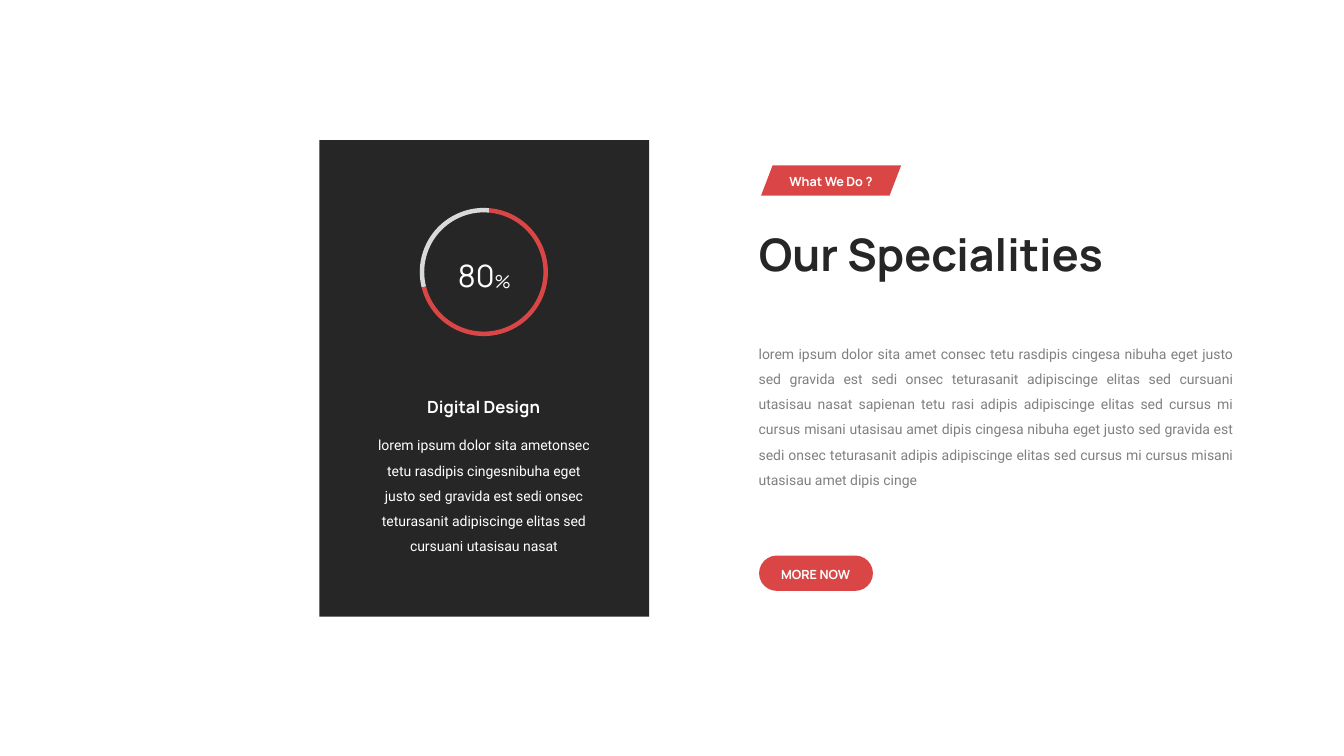
from pptx import Presentation
from pptx import util as u
from pptx.dml.color import RGBColor
from pptx.enum import shapes, text

RED, DARK, PALE, GREY, WHITE = "DA4646", "262626", "D9D9D9", "808080", "FFFFFF"
ALIGN = text.PP_ALIGN


def write(content, box, holder=None, font="Manrope", size=9, color=WHITE, bold=False,
          align=ALIGN.CENTER, spacing=None, wrap=True):
    place = [u.Cm(length) for length in box]
    if holder is None:
        holder = slide.shapes.add_textbox(*place)
    holder.left, holder.top, holder.width, holder.height = place
    frame = holder.text_frame
    frame.word_wrap = wrap
    frame.auto_size = text.MSO_AUTO_SIZE.SHAPE_TO_FIT_TEXT
    frame.vertical_anchor = text.MSO_ANCHOR.TOP
    paragraph = frame.paragraphs[0]
    paragraph.alignment = align
    if spacing:
        paragraph.line_spacing = spacing
    for part in content if isinstance(content, list) else [content]:
        run = paragraph.add_run()
        run.text = part
        run.font.name, run.font.size, run.font.bold = font, u.Pt(size), bold
        run.font.color.rgb = RGBColor.from_string(color)
    return paragraph


def draw(kind, box, color, adjustments=()):
    shape = slide.shapes.add_shape(kind, *[u.Cm(length) for length in box])
    shape.shadow.inherit = False
    shape.fill.solid()
    shape.fill.fore_color.rgb = RGBColor.from_string(color)
    shape.line.fill.background()
    for index, value in enumerate(adjustments):
        shape.adjustments[index] = value


deck = Presentation()
deck.slide_width, deck.slide_height = u.Cm(33.87), u.Cm(19.05)
slide = deck.slides.add_slide(deck.slide_layouts[5])
KIND = shapes.MSO_SHAPE

draw(KIND.RECTANGLE, (8.05, 3.53, 8.31, 12.01), DARK)

degree = 0.6
for start, end, color in [(166, 275, PALE), (275, 166, RED)]:
    draw(KIND.BLOCK_ARC, (10.58, 5.24, 3.23, 3.23), color,
         (start * degree, end * degree, 0.035))

percentage = write(["80", "%"], (10.82, 6.35, 2.77, 1.19), size=22)
percentage.runs[1].font._element.set("baseline", "-1000")

write("Digital Design", (9.6, 9.86, 5.18, 0.76), size=12, bold=True)
write("lorem ipsum dolor sita ametonsec tetu rasdipis cingesnibuha eget justo sed gravida "
      "est sedi onsec teturasanit adipiscinge elitas sed cursuani utasisau nasat",
      (9.17, 10.67, 6.05, 3.45), font="Roboto", size=10, spacing=1.5)

write("Our Specialities", (18.87, 5.59, 10.06, 1.63), holder=slide.shapes.title,
      size=32, color=DARK, bold=True, align=ALIGN.LEFT, wrap=False)

draw(KIND.PARALLELOGRAM, (19.18, 4.17, 3.53, 0.76), RED, (0.382,))
write("What We Do ?", (19.48, 4.27, 2.92, 0.64), bold=True, wrap=False)

write("lorem ipsum dolor sita amet consec tetu rasdipis cingesa nibuha eget justo sed "
      "gravida est sedi onsec teturasanit adipiscinge elitas sed cursuani utasisau nasat "
      "sapienan tetu rasi adipis adipiscinge elitas sed cursus mi cursus misani utasisau "
      "amet dipis cingesa nibuha eget justo sed gravida est sedi onsec teturasanit adipis "
      "adipiscinge elitas sed cursus mi cursus misani utasisau amet dipis cinge",
      (18.87, 8.36, 12.45, 4.04), font="Roboto", size=10, color=GREY,
      align=ALIGN.JUSTIFY, spacing=1.5)

draw(KIND.ROUNDED_RECTANGLE, (19.13, 14, 2.87, 0.89), RED, (0.5,))
write("MORE NOW", (19.35, 14.15, 2.41, 0.64), bold=True, wrap=False)

deck.save("out.pptx")
